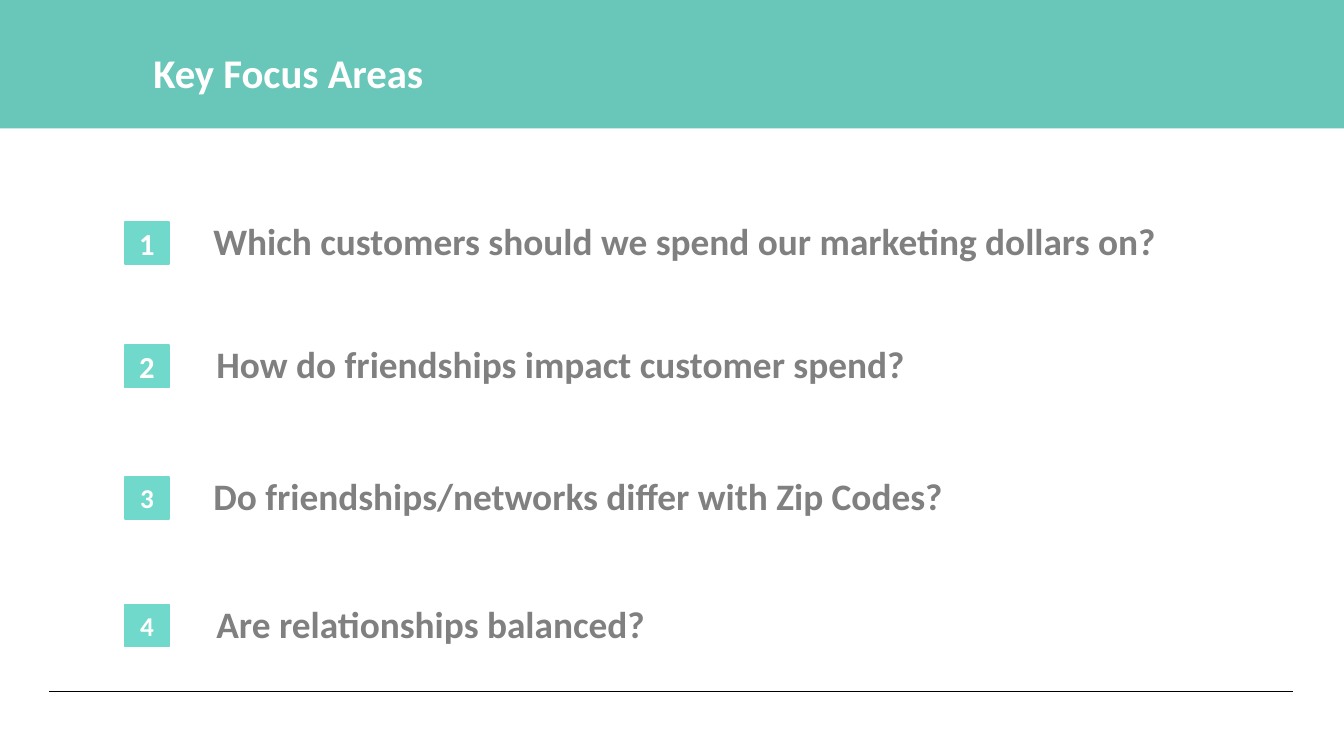
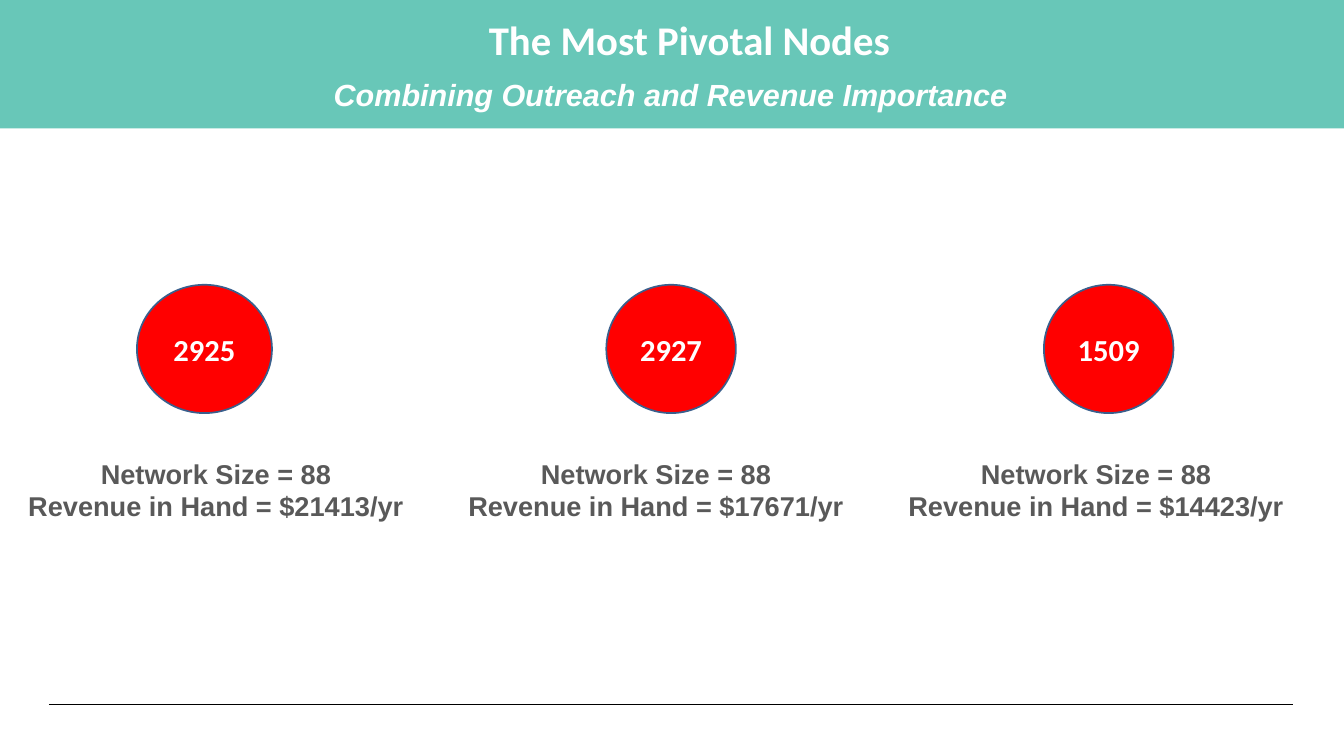
from pptx import Presentation
from pptx.dml.color import RGBColor
from pptx.enum import shapes, text
from pptx.oxml import ns, xmlchemy
from pptx.util import Inches, Pt

COLORS = {
    "band": "68C7B8", "badge": "71D9CC", "node": "FF0000", "node_edge": "3A5F8C",
    "white": "FFFFFF", "question": "808080", "caption": "595959", "rule": "000000",
}
PAGE_WIDTH, PAGE_HEIGHT = 21.99, 12.37
HEADING, BODY = "Calibri", "Arial"

# (top, left, badge number size, question)
QUESTIONS = [
    (3.57, 3.49, 36, "Which customers should we spend our marketing dollars on?"),
    (5.59, 3.54, 36, "How do friendships impact customer spend?"),
    (7.74, 3.49, 32, "Do friendships/networks differ with Zip Codes?"),
    (9.83, 3.54, 32, "Are relationships balanced?"),
]
# (left, width, customer, yearly revenue)
NODES = [
    (2.24, 2.21, "2925", 21413),
    (9.92, 2.12, "2927", 17671),
    (17.08, 2.12, "1509", 14423),
]
CAPTION_LEFT, CAPTION_STEP = 0.33, 7.2


def rgb(name):
    return RGBColor.from_string(COLORS[name])


def write(frame, lines, size, color, font=HEADING, centered=False, italic=False):
    """Write each line as one bold paragraph."""
    for index, line in enumerate(lines):
        para = frame.add_paragraph() if index else frame.paragraphs[0]
        para.alignment = text.PP_ALIGN.CENTER if centered else text.PP_ALIGN.LEFT
        span = para.add_run()
        span.text = line
        span.font.name = font
        span.font.size = Pt(size)
        span.font.bold = True
        span.font.italic = italic
        span.font.color.rgb = rgb(color)


def add_text(page, area, lines, size, color, wrap=True, inset=(0, 0), **style):
    box = page.shapes.add_textbox(*map(Inches, area))
    frame = box.text_frame
    frame.word_wrap = wrap
    frame.margin_left = frame.margin_right = Inches(inset[0])
    frame.margin_top = frame.margin_bottom = Inches(inset[1])
    write(frame, lines, size, color, **style)


def add_filled(page, kind, area, fill, edge=None):
    shape = page.shapes.add_shape(kind, *map(Inches, area))
    shape.shadow.inherit = False
    shape.fill.solid()
    shape.fill.fore_color.rgb = rgb(fill)
    if edge:
        shape.line.color.rgb = rgb(edge)
        shape.line.width = Pt(2)
    else:
        shape.line.fill.background()
    return shape


def add_label(page, kind, area, fill, edge, label, size):
    """Add a filled shape with one centred white label."""
    frame = add_filled(page, kind, area, fill, edge).text_frame
    frame.vertical_anchor = text.MSO_ANCHOR.MIDDLE
    write(frame, [label], size, "white", centered=True)


def add_rule(page, top):
    rule = page.shapes.add_connector(
        shapes.MSO_CONNECTOR.STRAIGHT,
        *map(Inches, (0.8, top, 21.16, top)))
    rule.line.color.rgb = rgb("rule")
    rule.line.width = Pt(0.82)
    rule._element.spPr.append(xmlchemy.OxmlElement("a:effectLst"))


def add_page(deck, title, title_area, rule_top):
    """Add a slide with the shared footer rule, top band and title."""
    page = deck.slides.add_slide(deck.slide_layouts[6])
    add_rule(page, rule_top)
    add_filled(page, shapes.MSO_SHAPE.RECTANGLE, (0, 0, PAGE_WIDTH, 2.1), "band")
    add_text(page, title_area, [title], 48, "white", wrap=False, inset=(0.1, 0.05))
    return page


def build_focus_areas(deck):
    page = add_page(deck, "Key Focus Areas", (2.41, 0.73, 4.67, 0.91), 11.31)
    for number, (top, left, size, question) in enumerate(QUESTIONS, 1):
        add_text(page, (left, top, 17.3, 0.74), [question], 44, "question")
        add_label(page, shapes.MSO_SHAPE.RECTANGLE, (2.05, top + 0.06, 0.71, 0.69),
                  "badge", "badge", str(number), size)


def build_pivotal_nodes(deck):
    page = add_page(deck, "The Most Pivotal Nodes", (7.9, 0.19, 6.83, 0.91), 11.52)
    add_text(page, (5.46, 1.24, 11.2, 0.61),
             ["Combining Outreach and Revenue Importance"], 36, "white",
             font=BODY, italic=True)
    for column, (left, width, customer, revenue) in enumerate(NODES):
        add_label(page, shapes.MSO_SHAPE.OVAL, (left, 4.66, width, 2.1),
                  "node", "node_edge", customer, 36)
        add_text(page, (CAPTION_LEFT + column * CAPTION_STEP, 7.48, 6.41, 1.08),
                 ["Network Size = 88", f"Revenue in Hand = ${revenue}/yr"],
                 32, "caption", font=BODY, centered=True)


def main():
    deck = Presentation()
    deck.slide_width = Inches(PAGE_WIDTH)
    deck.slide_height = Inches(PAGE_HEIGHT)
    build_focus_areas(deck)
    build_pivotal_nodes(deck)
    deck.save("out.pptx")


if __name__ == "__main__":
    main()
